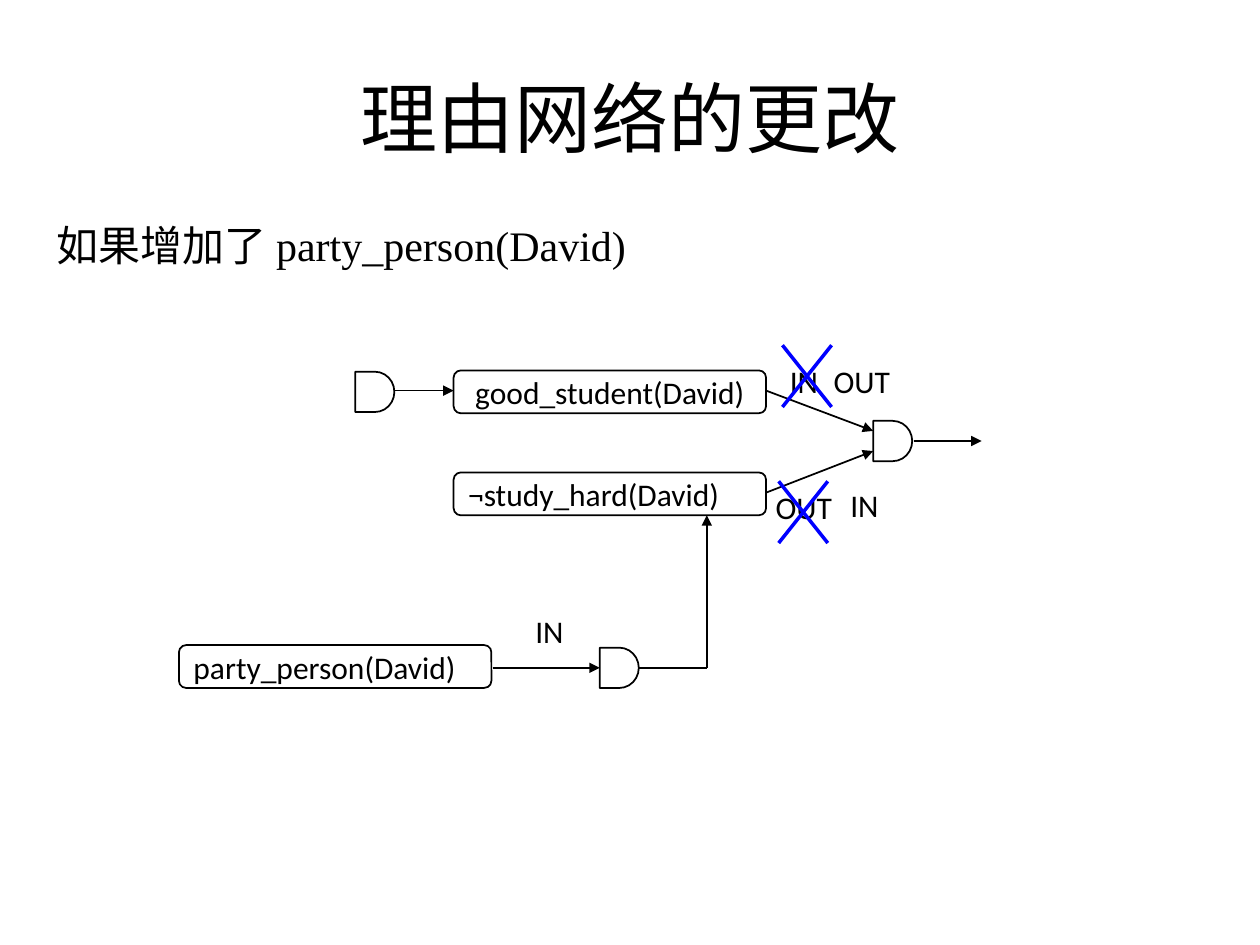
from dataclasses import dataclass

from lxml.etree import SubElement
from pptx import Presentation
from pptx.dml.color import RGBColor
from pptx.enum.shapes import MSO_CONNECTOR as Link, MSO_SHAPE as Shape
from pptx.enum.text import MSO_ANCHOR as Anchor, MSO_AUTO_SIZE as Fit, PP_ALIGN as Align
from pptx.oxml.ns import qn
from pptx.util import Inches, Pt


@dataclass(frozen=True)
class Theme:
    ink: RGBColor = RGBColor(0, 0, 0)
    strike: RGBColor = RGBColor(0, 0, 255)
    cjk_font: str = "Noto Sans CJK SC"
    body_font: str = "Times New Roman"
    node_font: str = "Calibri"
    title_size: int = 44
    body_size: int = 24
    node_size: int = 18


def assign(target, values):
    for name, value in values.items():
        setattr(target, name, value)


class Diagram:
    NODE = (2.48, 0.34)
    GATE = (0.31, 0.32)

    def __init__(self, slide, theme):
        self.slide, self.theme = slide, theme

    def set_text(self, shape, text, font, size, align, anchor=Anchor.MIDDLE, wrap=True):
        """Fill a shape with one formatted paragraph and return it."""
        frame = shape.text_frame
        assign(frame, {"auto_size": Fit.NONE, "word_wrap": wrap, "vertical_anchor": anchor})
        paragraph = frame.paragraphs[0]
        paragraph.alignment = align
        run = paragraph.add_run()
        run.text = text
        assign(run.font, {"name": font, "size": Pt(size)})
        run.font.color.rgb = self.theme.ink
        SubElement(run.font._element, qn("a:ea"), typeface=self.theme.cjk_font)
        return paragraph

    def place(self, shape, left, top, width, height):
        assign(shape, {"left": Inches(left), "top": Inches(top),
                       "width": Inches(width), "height": Inches(height)})

    def title(self, text, *box):
        heading = self.slide.shapes.title
        self.place(heading, *box)
        self.set_text(heading, text, self.theme.cjk_font, self.theme.title_size, Align.CENTER)

    def body(self, text, *box):
        content = self.slide.placeholders[1]
        self.place(content, *box)
        paragraph = self.set_text(content, text, self.theme.body_font, self.theme.body_size,
                                  Align.LEFT, Anchor.TOP)
        assign(paragraph, {"line_spacing": 1.5, "space_before": Pt(5), "space_after": Pt(10)})
        properties = paragraph._p.get_or_add_pPr()
        for name, value in (("marL", 0.38), ("indent", -0.38)):
            properties.set(name, str(Inches(value)))
        SubElement(properties, qn("a:buNone"))

    def outline(self, kind, left, top, size):
        shape = self.slide.shapes.add_shape(
            kind, Inches(left), Inches(top), *map(Inches, size))
        shape.shadow.inherit = False
        shape.fill.background()
        shape.line.color.rgb = self.theme.ink
        shape.line.width = Pt(1)
        return shape

    def node(self, text, left, top, align=Align.LEFT):
        shape = self.outline(Shape.ROUNDED_RECTANGLE, left, top, self.NODE)
        shape.adjustments[0] = 0.167
        self.set_text(shape, text, self.theme.node_font, self.theme.node_size, align)

    def gate(self, left, top):
        self.outline(Shape.FLOWCHART_DELAY, left, top, self.GATE)

    def label(self, text, center, top):
        width = 0.73 if text == "OUT" else 0.45
        box = self.slide.shapes.add_textbox(
            Inches(center - width / 2), Inches(top), Inches(width), Inches(0.42))
        self.set_text(box, text, self.theme.node_font, self.theme.node_size,
                      Align.CENTER, wrap=False)

    def line(self, start, end, arrow=True, color=None, weight=1):
        link = self.slide.shapes.add_connector(
            Link.STRAIGHT, *map(Inches, (*start, *end)))
        link.line.color.rgb = color or self.theme.ink
        link.line.width = Pt(weight)
        if arrow:
            SubElement(link.get_or_add_ln(), qn("a:tailEnd"), type="triangle")
        SubElement(link._element.spPr, qn("a:effectLst"))

    def cross(self, left, top, width=0.39, height=0.49):
        right, bottom = left + width, top + height
        for start, end in (((left, top), (right, bottom)), ((right, top), (left, bottom))):
            self.line(start, end, arrow=False, color=self.theme.strike, weight=2)


deck = Presentation()
assign(deck, {"slide_width": Inches(10), "slide_height": Inches(7.5)})
diagram = Diagram(deck.slides.add_slide(deck.slide_layouts[1]), Theme())

# Heading and premise
diagram.title("理由网络的更改", 0.5, 0.3, 9, 1.25)
diagram.body("如果增加了 party_person(David) ", 0.35, 1.49, 9.29, 5.65)

# Beliefs
diagram.node("good_student(David)", 3.6, 2.94, Align.CENTER)
diagram.node("¬study_hard(David)", 3.6, 3.75)
diagram.node("party_person(David)", 1.42, 5.12)

# Justification gates
for left, top in ((2.82, 2.95), (6.93, 3.34), (4.76, 5.14)):
    diagram.gate(left, top)

# Support arrows
for start, end in (
    ((3.13, 3.1), (3.6, 3.1)),
    ((6.08, 3.1), (6.93, 3.42)),
    ((6.08, 3.91), (6.93, 3.58)),
    ((7.25, 3.5), (7.79, 3.5)),
    ((3.91, 5.3), (4.76, 5.3)),
    ((5.61, 5.3), (5.61, 4.09)),
):
    diagram.line(start, end)
diagram.line((5.07, 5.3), (5.61, 5.3), arrow=False)

# Old and new states
for state, center, top in (
    ("IN", 6.38, 2.81), ("OUT", 6.84, 2.81),
    ("OUT", 6.38, 3.81), ("IN", 6.86, 3.8),
    ("IN", 4.36, 4.8),
):
    diagram.label(state, center, top)

# Withdrawn states
diagram.cross(6.21, 2.74)
diagram.cross(6.18, 3.82)

deck.save("out.pptx")
